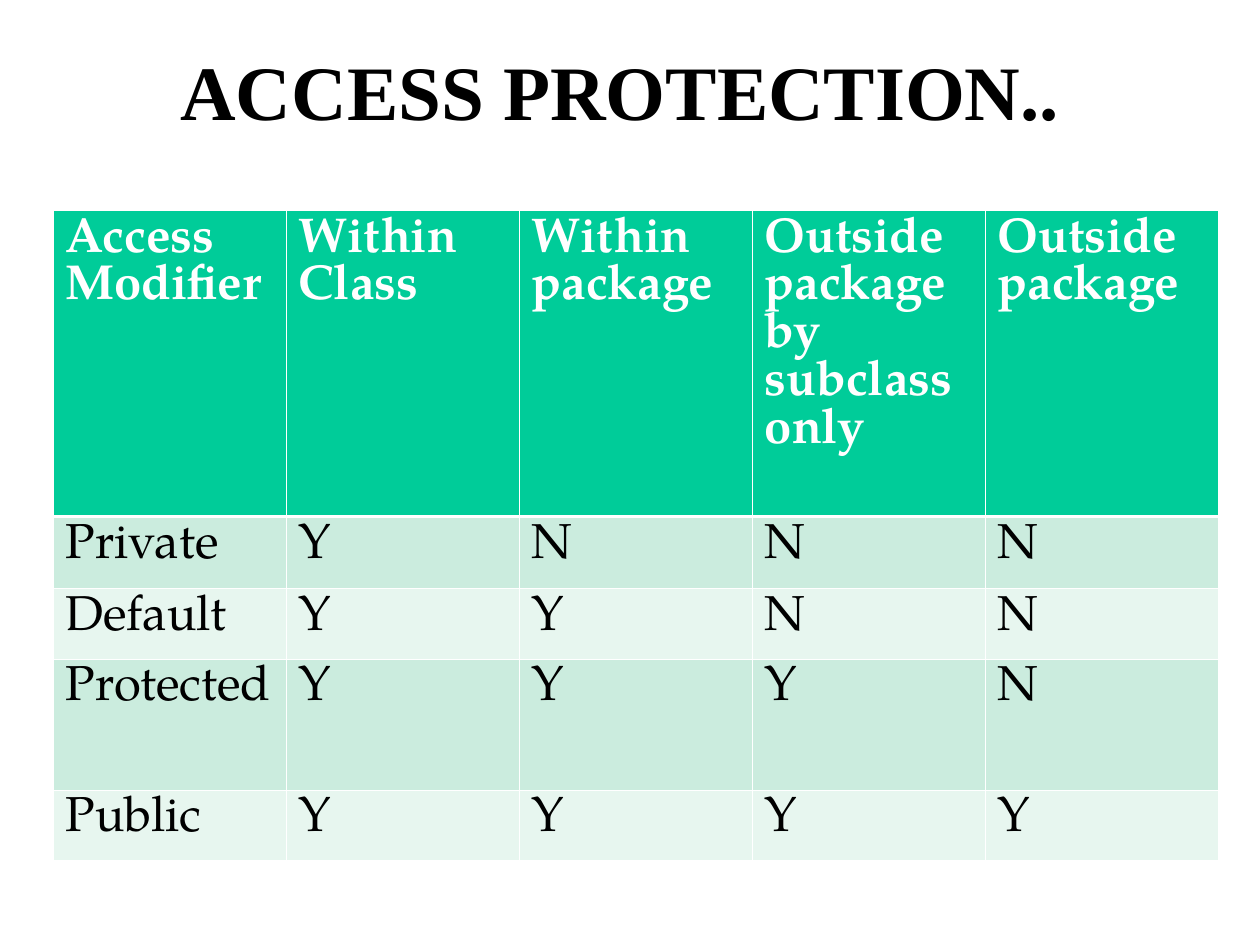
from lxml import etree
from pptx import Presentation
from pptx.dml.color import RGBColor
from pptx.enum import text
from pptx.oxml import ns
from pptx.util import Inches, Pt

COLORS = {"head": "00CC99", "odd": "CBECDE", "even": "E7F6EF",
          "white": "FFFFFF", "black": "000000"}
TITLE_FONT = "Times New Roman"
TABLE_FONT = "TeX Gyre Pagella"
COL_WIDTH = 1.85
ROW_HEIGHTS = [2.43, 0.57, 0.56, 1.04, 0.56]
ROWS = [
    ["Access Modifier", "Within Class", "Within package",
     "Outside package by subclass only", "Outside package"],
    ["Private", "Y", "N", "N", "N"],
    ["Default", "Y", "Y", "N", "N"],
    ["Protected", "Y", "Y", "Y", "N"],
    ["Public", "Y", "Y", "Y", "Y"],
]


def rgb(name):
    return RGBColor.from_string(COLORS[name])


def add_run(p, words, font, size, color, bold):
    r = p.add_run()
    r.text = words
    r.font.name = font
    r.font.size = Pt(size)
    r.font.bold = bold
    r.font.color.rgb = rgb(color)


def set_borders(cell, widths):
    """Draw white cell borders; the lines must come before the fill."""
    tcPr = cell._tc.get_or_add_tcPr()
    for i, (side, width) in enumerate(widths.items()):
        ln = etree.Element(ns.qn(f"a:ln{side}"), w=str(Pt(width)))
        fill = etree.SubElement(ln, ns.qn("a:solidFill"))
        etree.SubElement(fill, ns.qn("a:srgbClr"), val=COLORS["white"])
        tcPr.insert(i, ln)


def place_title(s, left, top, width, height):
    sp = s.shapes.title
    sp.left, sp.top = Inches(left), Inches(top)
    sp.width, sp.height = Inches(width), Inches(height)
    tf = sp.text_frame
    tf.word_wrap = True
    tf.auto_size = text.MSO_AUTO_SIZE.NONE
    tf.vertical_anchor = text.MSO_ANCHOR.MIDDLE
    p = tf.paragraphs[0]
    p.alignment = text.PP_ALIGN.CENTER
    add_run(p, "ACCESS PROTECTION.. ", TITLE_FONT, 44, "black", True)


def fill_cell(cell, words, row):
    header = row == 0
    cell.fill.solid()
    cell.fill.fore_color.rgb = rgb("head" if header else "odd" if row % 2 else "even")
    cell.margin_left = cell.margin_right = Inches(0.1)
    cell.margin_top = cell.margin_bottom = Inches(0.05)
    p = cell.text_frame.paragraphs[0]
    add_run(p, words, TABLE_FONT, 28, "white" if header else "black", header)
    # A heavier rule separates the header from the body
    set_borders(cell, {"L": 0.45, "R": 0.45,
                       "T": 1.47 if row == 1 else 0.45,
                       "B": 1.47 if header else 0.45})


def place_table(s, left, top, width, height):
    frame = s.shapes.add_table(len(ROWS), len(ROWS[0]), Inches(left), Inches(top),
                               Inches(width), Inches(height))
    table = frame.table
    for column in table.columns:
        column.width = Inches(COL_WIDTH)
    for i, (row_height, words) in enumerate(zip(ROW_HEIGHTS, ROWS)):
        table.rows[i].height = Inches(row_height)
        for j, word in enumerate(words):
            fill_cell(table.cell(i, j), word, i)


def main():
    prs = Presentation()
    prs.slide_width, prs.slide_height = Inches(10), Inches(7.5)
    s = prs.slides.add_slide(prs.slide_layouts[5])  # title only
    s.background.fill.solid()
    s.background.fill.fore_color.rgb = rgb("white")
    place_title(s, 0, 0.17, 10, 1.08)
    place_table(s, 0.42, 1.67, COL_WIDTH * len(ROWS[0]), sum(ROW_HEIGHTS))
    prs.save("out.pptx")


if __name__ == "__main__":
    main()
